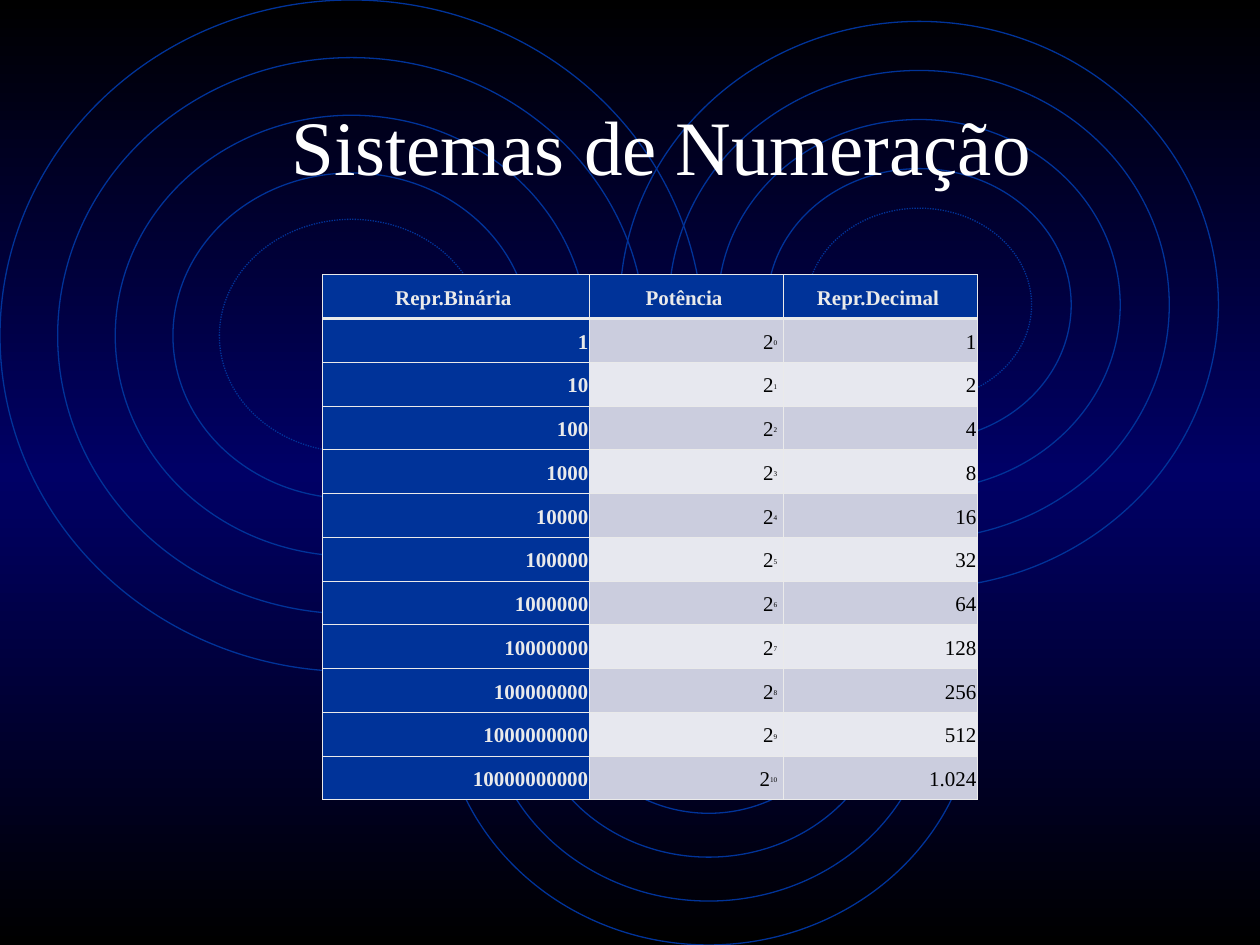
import copy

import pptx
import pptx.dml.color
import pptx.enum.dml
import pptx.enum.shapes
import pptx.enum.text
import pptx.oxml
import pptx.oxml.ns
import pptx.util
from pptx.util import Inches

FONT = "Times New Roman"
BLUE, PALE, WHITE, BLACK = "003399", "EAEAEA", "FFFFFF", "000000"
BAND_FILLS = ("CBCDDE", "E7E8EF")
BACKGROUND_STOPS = [(0, BLACK), (0.5, "000066"), (1, BLACK)]

TITLE = "Sistemas de Numeração"
HEADERS = ("Repr.Binária ", "Potência ", "Repr.Decimal ")
EXPONENTS = range(11)
COLUMN_WIDTHS = (2.12, 1.54, 1.54)
TABLE_LEFT, TABLE_TOP, TABLE_HEIGHT = 2.56, 2.18, 4.17
THIN, THICK = 0.45, 1.47

# left, top, width, height of the outermost ring of each group
RING_GROUPS = [(0, 0, 5.58, 5.33), (3.5, 3.5, 4.25, 4), (4.92, 0.17, 4.75, 4.5)]
# inset of each ring as a share of its group's width; the innermost is dotted
RING_INSETS = (0, 0.082, 0.164, 0.246, 0.312)

ALIGN = pptx.enum.text.PP_ALIGN
MIDDLE = pptx.enum.text.MSO_ANCHOR.MIDDLE


def color(hex_string):
    return pptx.dml.color.RGBColor.from_string(hex_string)


def style(font, size, hex_string, bold=False):
    font.name = FONT
    font.size = pptx.util.Pt(size)
    font.bold = bold
    font.color.rgb = color(hex_string)


def paint_background(page):
    fill = page.background.fill
    fill.gradient()
    fill.gradient_angle = 90
    stop_list = page._element.xpath(".//a:gsLst")[0]
    stop_list.append(copy.deepcopy(stop_list[0]))
    for stop, (position, hex_string) in zip(fill.gradient_stops, BACKGROUND_STOPS):
        stop.position = position
        stop.color.rgb = color(hex_string)


def add_rings(page, left, top, width, height):
    for share in RING_INSETS:
        inset = share * width
        ring = page.shapes.add_shape(
            pptx.enum.shapes.MSO_SHAPE.OVAL,
            Inches(left + inset), Inches(top + inset),
            Inches(width - 2 * inset), Inches(height - 2 * inset))
        ring.shadow.inherit = False
        ring.fill.background()
        ring.line.color.rgb = color(BLUE)
        ring.line.width = pptx.util.Pt(0.75)
        if share == RING_INSETS[-1]:
            ring.line.dash_style = pptx.enum.dml.MSO_LINE.ROUND_DOT


def add_title(page):
    box = page.shapes.add_textbox(Inches(1), Inches(0.52), Inches(8.5), Inches(1.25))
    box.text_frame.word_wrap = True
    box.text_frame.vertical_anchor = MIDDLE
    para = box.text_frame.paragraphs[0]
    para.text = TITLE
    para.alignment = ALIGN.CENTER
    style(para.font, 44, WHITE)


def set_borders(cell, top, bottom):
    properties = cell._tc.get_or_add_tcPr()
    for side, points in (("L", THIN), ("R", THIN), ("T", top), ("B", bottom)):
        properties.append(pptx.oxml.parse_xml(
            f'<a:ln{side} {pptx.oxml.ns.nsdecls("a")} w="{pptx.util.Pt(points)}">'
            f'<a:solidFill><a:srgbClr val="{PALE}"/></a:solidFill></a:ln{side}>'))


def fill_cell(cell, text, row, column):
    is_header = row == 0
    is_label = is_header or column == 0
    set_borders(cell, THICK if row == 1 else THIN, THICK if is_header else THIN)
    cell.fill.solid()
    cell.fill.fore_color.rgb = color(BLUE if is_label else BAND_FILLS[(row - 1) % 2])
    cell.vertical_anchor = MIDDLE
    cell.margin_left = cell.margin_right = Inches(0.01)
    cell.margin_top = cell.margin_bottom = Inches(0.05)
    para = cell.text_frame.paragraphs[0]
    para.alignment = ALIGN.CENTER if is_header else ALIGN.RIGHT
    para.line_spacing = 1.15
    if is_header:
        para.space_after = pptx.util.Pt(10)
    base, caret, exponent = text.partition("^")
    spans = [(base, 12)] + ([(exponent, 7), (" ", 12)] if caret else [])
    for part, size in spans:
        span = para.add_run()
        span.text = part
        style(span.font, size, PALE if is_label else BLACK, bold=is_label)
        if size == 7:
            span.font._element.set("baseline", "30000")


def add_power_table(page):
    rows = [HEADERS] + [
        (f"{2 ** power:b}", f"2^{power}", f"{2 ** power:,}".replace(",", "."))
        for power in EXPONENTS]
    table = page.shapes.add_table(
        len(rows), len(HEADERS), Inches(TABLE_LEFT), Inches(TABLE_TOP),
        Inches(sum(COLUMN_WIDTHS)), Inches(TABLE_HEIGHT)).table
    for column, width in zip(table.columns, COLUMN_WIDTHS):
        column.width = Inches(width)
    for row_index, texts in enumerate(rows):
        table.rows[row_index].height = Inches(TABLE_HEIGHT / len(rows))
        for column_index, text in enumerate(texts):
            fill_cell(table.cell(row_index, column_index), text, row_index, column_index)


def main():
    deck = pptx.Presentation()
    deck.slide_width, deck.slide_height = Inches(10), Inches(7.5)
    page = deck.slides.add_slide(deck.slide_layouts[6])
    paint_background(page)
    for group in RING_GROUPS:
        add_rings(page, *group)
    add_title(page)
    add_power_table(page)
    deck.save("out.pptx")


if __name__ == "__main__":
    main()
